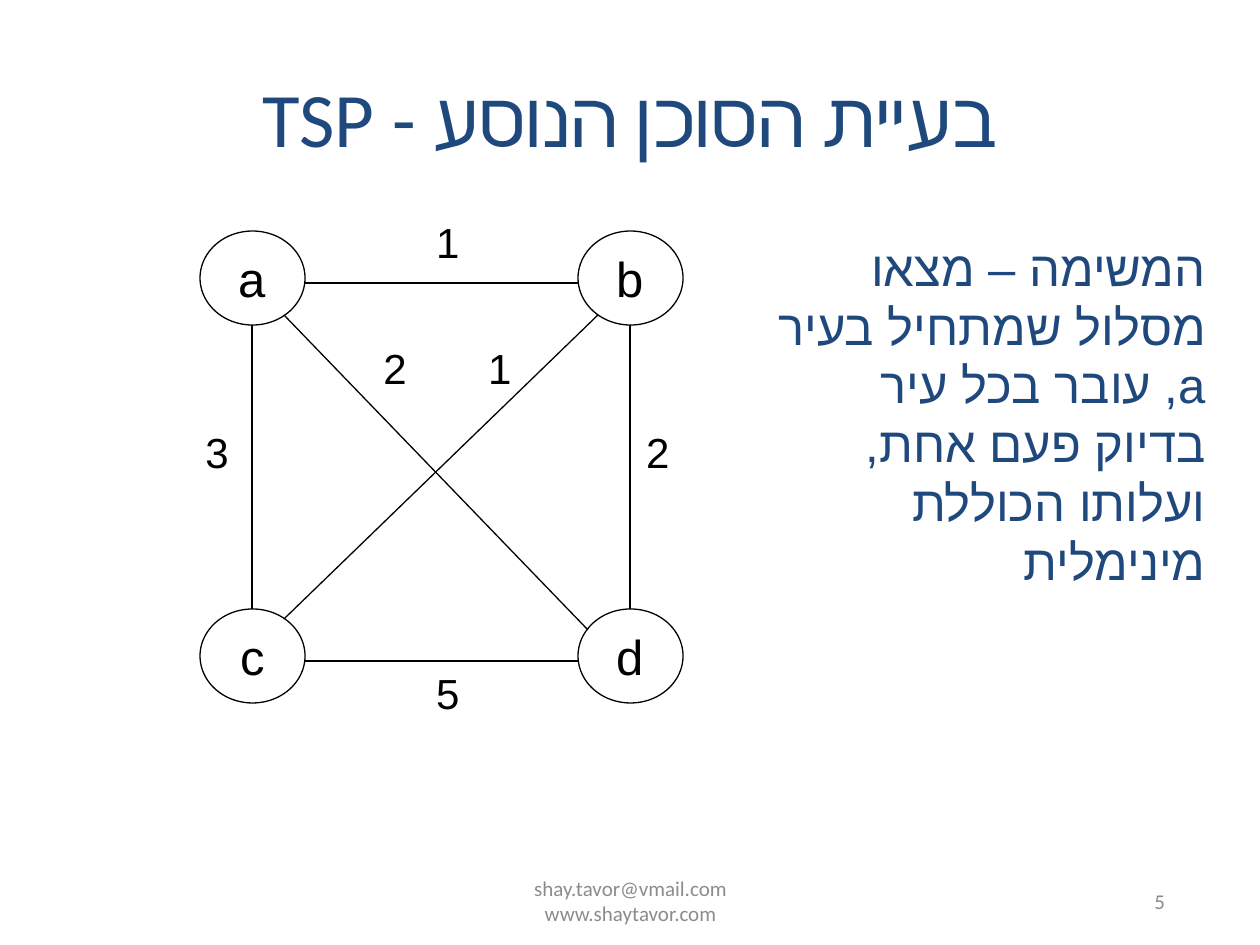
from lxml import etree
from pptx import Presentation
from pptx.dml.color import RGBColor
from pptx.enum.shapes import MSO_CONNECTOR, MSO_SHAPE
from pptx.enum.text import MSO_ANCHOR, PP_ALIGN
from pptx.oxml.ns import qn
from pptx.util import Pt

PX = 914400 // 126
BLACK = RGBColor(0x00, 0x00, 0x00)
NAVY = RGBColor(0x1F, 0x49, 0x7D)
GRAY = RGBColor(0x8C, 0x8C, 0x8C)
LEFT, CENTER, RIGHT = PP_ALIGN.LEFT, PP_ALIGN.CENTER, PP_ALIGN.RIGHT
TOP, MIDDLE = MSO_ANCHOR.TOP, MSO_ANCHOR.MIDDLE
OVAL, STRAIGHT = MSO_SHAPE.OVAL, MSO_CONNECTOR.STRAIGHT

TITLE = {"size": Pt(44), "name": "Calibri", "color": NAVY}
BODY = {"size": Pt(28), "name": "Arial", "color": NAVY}
NODE = {"size": Pt(28), "name": "Arial", "color": BLACK}
WEIGHT = {"size": Pt(24), "name": "Arial", "color": BLACK}
FOOTER = {"size": Pt(12), "name": "Calibri", "color": GRAY}

# Graph layout, relative to the top left of its box
NODE_SIZE = (105, 94)
NODES = {"a": (32, 21), "b": (410, 21), "c": (32, 399), "d": (410, 399)}
EDGES = [
    (137, 73, 410, 73),    # a-b
    (462, 115, 462, 399),  # b-d
    (410, 451, 137, 451),  # d-c
    (84, 399, 84, 115),    # c-a
    (116, 105, 420, 420),  # a-d
    (430, 105, 116, 409),  # b-c
]
WEIGHT_SIZE = (73, 63)
WEIGHTS = [("1", 231, 0), ("3", 0, 210), ("2", 178, 126),
           ("1", 283, 126), ("2", 441, 210), ("5", 231, 451)]


def scale(*lengths):
    return [length * PX for length in lengths]


def write(shape, text, style, align, anchor=TOP, wrap=True):
    """Write right-to-left text into a shape."""
    frame = shape.text_frame
    frame.word_wrap = wrap
    frame.vertical_anchor = anchor
    paragraph = frame.paragraphs[0]
    paragraph.text = text
    paragraph.alignment = align
    paragraph._p.get_or_add_pPr().set("rtl", "1")
    for run in paragraph.runs:
        for key, value in style.items():
            if key == "color":
                run.font.color.rgb = value
            else:
                setattr(run.font, key, value)
        # Hebrew takes the complex-script typeface
        etree.SubElement(run._r.get_or_add_rPr(), qn("a:cs"), typeface=style["name"])


def add_text(slide, box, text, style, align, anchor=TOP):
    write(slide.shapes.add_textbox(*scale(*box)), text, style, align, anchor)


def add_node(slide, box, name):
    shape = slide.shapes.add_shape(OVAL, *scale(*box))
    shape.shadow.inherit = False
    shape.fill.background()
    shape.line.color.rgb = BLACK
    shape.line.width = Pt(0.75)
    write(shape, name, NODE, CENTER, MIDDLE, wrap=False)


def add_edge(slide, ends):
    connector = slide.shapes.add_connector(STRAIGHT, *scale(*ends))
    connector.line.color.rgb = BLACK
    connector.line.width = Pt(0.75)
    etree.SubElement(connector._element.spPr, qn("a:effectLst"))


def add_graph(slide, left, top):
    """Four cities, the roads between them and their costs."""
    for name, (x, y) in NODES.items():
        add_node(slide, (left + x, top + y, *NODE_SIZE), name)
    for x1, y1, x2, y2 in EDGES:
        add_edge(slide, (left + x1, top + y1, left + x2, top + y2))
    for cost, x, y in WEIGHTS:
        add_text(slide, (left + x, top + y, *WEIGHT_SIZE), cost, WEIGHT, RIGHT)


def add_footer(slide, left, top, height):
    """Contact lines and slide number."""
    add_text(slide, (left, top, 399, height), "shay.tavor@vmail.com\vwww.shaytavor.com",
             FOOTER, CENTER, MIDDLE)
    add_text(slide, (left + 711, top, 55, height), "5", FOOTER, LEFT, MIDDLE)


def main():
    presentation = Presentation()
    presentation.slide_width, presentation.slide_height = scale(1260, 945)
    slide = presentation.slides.add_slide(presentation.slide_layouts[6])

    # Title
    add_text(slide, (63, 38, 1134, 158), "בעיית הסוכן הנוסע - TSP", TITLE, CENTER, MIDDLE)
    # Task
    add_text(slide, (746, 231, 472, 307),
             "המשימה – מצאו מסלול שמתחיל בעיר a, עובר בכל עיר בדיוק פעם אחת, "
             "ועלותו הכוללת מינימלית", BODY, RIGHT)
    add_graph(slide, 168, 210)
    add_footer(slide, 431, 876, 50)

    presentation.save("out.pptx")


if __name__ == "__main__":
    main()
